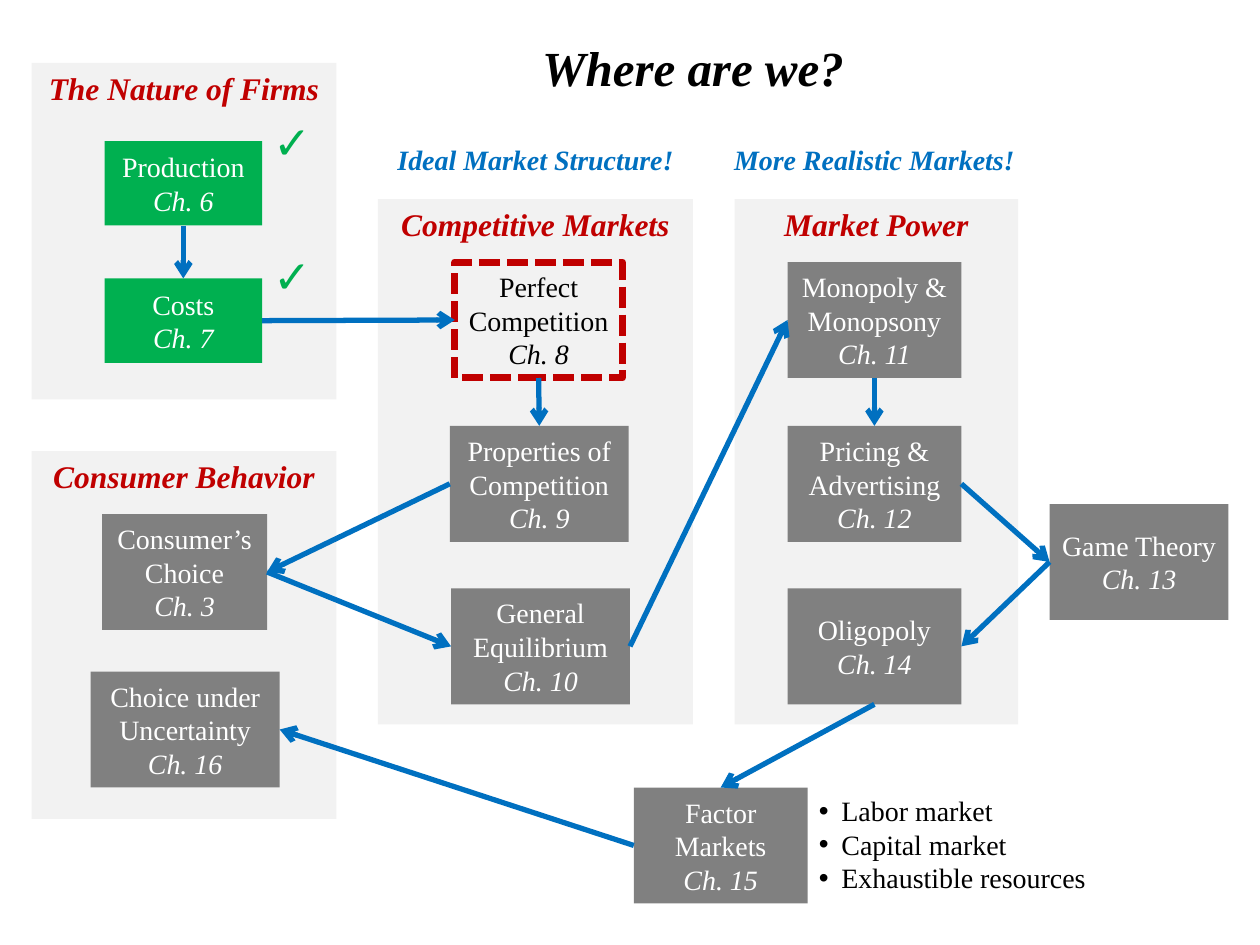
from dataclasses import dataclass

from lxml import etree
from pptx import Presentation
from pptx.dml.color import RGBColor
from pptx.enum import dml, shapes, text
from pptx.oxml import ns
from pptx.util import Inches, Pt


@dataclass(frozen=True)
class Theme:
    font: str = "Times New Roman"
    tick_font: str = "Arial"
    panel: str = "F2F2F2"
    done: str = "00B050"
    later: str = "808080"
    red: str = "C00000"
    blue: str = "0070C0"
    black: str = "000000"
    white: str = "FFFFFF"
    title_size: int = 28
    tick_size: int = 26
    heading_size: int = 18
    body_size: int = 16


@dataclass(frozen=True)
class Area:
    left: float
    top: float
    width: float
    height: float

    def lengths(self) -> list:
        return [Inches(v) for v in (self.left, self.top, self.width, self.height)]


@dataclass(frozen=True)
class Panel:
    heading: str
    area: Area


@dataclass(frozen=True)
class Topic:
    name: str
    chapter: int
    area: Area
    state: str = "later"


@dataclass(frozen=True)
class Label:
    wording: str
    area: Area
    color: str
    size: int
    font: str
    emphasis: bool


THEME = Theme()
TOP, LEFT, BOTTOM, RIGHT = range(4)
ROWS = (2.08, 3.38, 4.67)
TALL = 0.92

PANELS = [
    Panel("The Nature of Firms", Area(0.25, 0.5, 2.42, 2.67)),
    Panel("Competitive Markets", Area(3, 1.58, 2.5, 4.17)),
    Panel("Consumer Behavior", Area(0.25, 3.58, 2.42, 2.92)),
    Panel("Market Power", Area(5.83, 1.58, 2.25, 4.17)),
]
TOPICS = [
    Topic("Production", 6, Area(0.83, 1.12, 1.25, 0.67), "done"),
    Topic("Costs", 7, Area(0.83, 2.21, 1.25, 0.67), "done"),
    Topic("Perfect Competition", 8, Area(3.61, ROWS[0], 1.33, TALL), "current"),
    Topic("Properties of Competition", 9, Area(3.57, ROWS[1], 1.42, TALL)),
    Topic("General Equilibrium", 10, Area(3.58, ROWS[2], 1.42, TALL)),
    Topic("Consumer’s Choice", 3, Area(0.81, 4.08, 1.31, TALL)),
    Topic("Monopoly & Monopsony", 11, Area(6.25, ROWS[0], 1.38, TALL)),
    Topic("Pricing & Advertising", 12, Area(6.25, ROWS[1], 1.38, TALL)),
    Topic("Game Theory", 13, Area(8.33, 4, 1.42, TALL)),
    Topic("Oligopoly", 14, Area(6.25, ROWS[2], 1.38, TALL)),
    Topic("Factor Markets", 15, Area(5.03, 6.25, 1.38, TALL)),
    Topic("Choice under Uncertainty", 16, Area(0.72, 5.33, 1.5, TALL)),
]
ARROWS = [
    (6, BOTTOM, 7, TOP), (7, RIGHT, 8, LEFT), (8, BOTTOM, 9, TOP),
    (9, LEFT, 3, RIGHT), (3, RIGHT, 10, LEFT), (10, RIGHT, 11, LEFT),
    (11, BOTTOM, 12, TOP), (12, RIGHT, 13, LEFT), (13, LEFT, 14, RIGHT),
    (14, BOTTOM, 15, TOP), (15, LEFT, 16, RIGHT),
]
LABELS = [
    Label(wording, Area(left, 1.08, 2.52, 0.37), THEME.blue, THEME.body_size, THEME.font, True)
    for wording, left in (("Ideal Market Structure!", 2.99), ("More Realistic Markets!", 5.68))
] + [
    Label("✓", Area(2.07, top, 0.42, 0.54), THEME.done, THEME.tick_size, THEME.tick_font, False)
    for top in (0.86, 1.92)
]
FACTORS = ["Labor market", "Capital market", "Exhaustible resources"]


def add_span(para, wording: str, size: int, color: str, bold: bool = False,
             italic: bool = False, font: str = THEME.font) -> None:
    span = para.add_run()
    span.text = wording
    span.font.name = font
    span.font.size = Pt(size)
    span.font.bold = bold
    span.font.italic = italic
    span.font.color.rgb = RGBColor.from_string(color)


def add_rectangle(page, area: Area, fill: str | None):
    box = page.shapes.add_shape(shapes.MSO_SHAPE.RECTANGLE, *area.lengths())
    box.shadow.inherit = False
    box.line.fill.background()
    if fill:
        box.fill.solid()
        box.fill.fore_color.rgb = RGBColor.from_string(fill)
    else:
        box.fill.background()
    return box


def add_panel(page, panel: Panel) -> None:
    frame = add_rectangle(page, panel.area, THEME.panel).text_frame
    frame.vertical_anchor = text.MSO_ANCHOR.TOP
    para = frame.paragraphs[0]
    para.alignment = text.PP_ALIGN.CENTER
    add_span(para, panel.heading, THEME.heading_size, THEME.red, True, True)


def add_topic(page, topic: Topic):
    fills = {"done": THEME.done, "later": THEME.later, "current": None}
    box = add_rectangle(page, topic.area, fills[topic.state])
    color = THEME.white
    if topic.state == "current":
        color = THEME.black
        box.line.color.rgb = RGBColor.from_string(THEME.red)
        box.line.width = Pt(4)
        box.line.dash_style = dml.MSO_LINE.SQUARE_DOT
    frame = box.text_frame
    frame.word_wrap = True
    frame.vertical_anchor = text.MSO_ANCHOR.MIDDLE
    name, chapter = frame.paragraphs[0], frame.add_paragraph()
    name.alignment = chapter.alignment = text.PP_ALIGN.CENTER
    add_span(name, topic.name, THEME.body_size, color)
    add_span(chapter, f"Ch. {topic.chapter}", THEME.body_size, color, italic=True)
    return box


def add_arrow(page, start, start_side: int, end, end_side: int) -> None:
    arrow = page.shapes.add_connector(shapes.MSO_CONNECTOR.STRAIGHT, 0, 0, 0, 0)
    arrow.begin_connect(start, start_side)
    arrow.end_connect(end, end_side)
    arrow.line.color.rgb = RGBColor.from_string(THEME.blue)
    arrow.line.width = Pt(3)
    etree.SubElement(arrow.line._get_or_add_ln(), ns.qn("a:tailEnd"), type="arrow")
    etree.SubElement(arrow._element.spPr, ns.qn("a:effectLst"))


def add_label(page, label: Label) -> None:
    frame = page.shapes.add_textbox(*label.area.lengths()).text_frame
    frame.word_wrap = True
    para = frame.paragraphs[0]
    para.alignment = text.PP_ALIGN.CENTER
    add_span(para, label.wording, label.size, label.color,
             label.emphasis, label.emphasis, label.font)


def add_bullets(page, area: Area, items: list[str]) -> None:
    frame = page.shapes.add_textbox(*area.lengths()).text_frame
    frame.word_wrap = True
    for index, item in enumerate(items):
        para = frame.add_paragraph() if index else frame.paragraphs[0]
        properties = para._p.get_or_add_pPr()
        properties.set("marL", str(Inches(0.18)))
        properties.set("indent", str(-Inches(0.18)))
        etree.SubElement(properties, ns.qn("a:buFont"), typeface="Arial")
        etree.SubElement(properties, ns.qn("a:buChar"), char="•")
        add_span(para, item, THEME.body_size, THEME.black)


def set_title(page, wording: str, area: Area) -> None:
    box = page.shapes.title
    box.left, box.top, box.width, box.height = area.lengths()
    frame = box.text_frame
    frame.word_wrap = True
    frame.auto_size = text.MSO_AUTO_SIZE.NONE
    frame.vertical_anchor = text.MSO_ANCHOR.TOP
    para = frame.paragraphs[0]
    para.alignment = text.PP_ALIGN.CENTER
    add_span(para, wording, THEME.title_size, THEME.black, True, True)


def main() -> None:
    deck = Presentation()
    deck.slide_width, deck.slide_height = Inches(10), Inches(7.5)
    page = deck.slides.add_slide(deck.slide_layouts[5])
    set_title(page, "Where are we?", Area(3.16, 0.25, 4.68, 0.57))
    for panel in PANELS:
        add_panel(page, panel)
    boxes = {topic.chapter: add_topic(page, topic) for topic in TOPICS}
    for start, start_side, end, end_side in ARROWS:
        add_arrow(page, boxes[start], start_side, boxes[end], end_side)
    add_bullets(page, Area(6.4, 6.25, 2.68, 0.91), FACTORS)
    for label in LABELS:
        add_label(page, label)
    deck.save("out.pptx")


if __name__ == "__main__":
    main()
